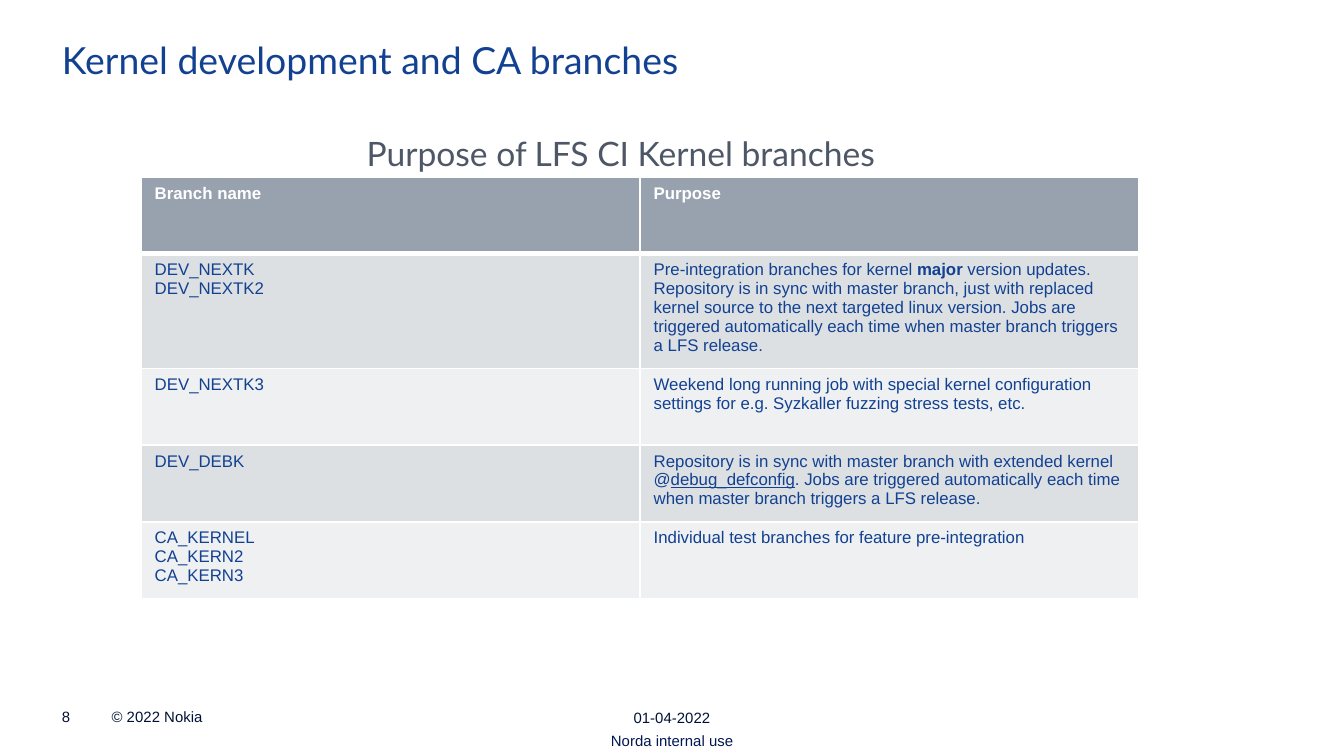
import dataclasses
import typing

import lxml.etree
import pptx
import pptx.dml.color
import pptx.enum.text
import pptx.oxml.ns
import pptx.util

Cm = pptx.util.Cm
Pt = pptx.util.Pt
Align = pptx.enum.text.PP_ALIGN
Anchor = pptx.enum.text.MSO_ANCHOR

COLORS = {
    "blue": "124191",
    "slate": "4D5766",
    "navy": "001135",
    "indigo": "001753",
    "white": "FFFFFF",
    "head": "98A2AE",
    "dark": "DDE0E3",
    "light": "EFF0F2",
}


@dataclasses.dataclass
class Label:
    text: str
    left: float
    top: float
    width: float
    height: float
    size: float = 8
    font: str = "Arial"
    color: str = "navy"
    align: Align = Align.LEFT
    anchor: Anchor = Anchor.TOP
    spacing: float = 1.0


class Part(typing.NamedTuple):
    text: str
    bold: bool = False
    line: bool = False


class Branch(typing.NamedTuple):
    names: list[str]
    purpose: list[Part]
    height: float = 1.45


LABELS = [
    Label("© 2022 Nokia", 2.11, 13.39, 5, 0.33, anchor=Anchor.BOTTOM),
    Label("8", 1.17, 13.39, 0.71, 0.33, anchor=Anchor.BOTTOM),
    Label("Norda internal use", 11.23, 13.69, 2.95, 0.61, color="indigo",
          align=Align.CENTER, anchor=Anchor.MIDDLE),
    Label("Purpose of LFS CI Kernel branches", 6.93, 2.59, 11.53, 0.97,
          18, "Lato", "slate", spacing=0.9),
    Label("Kernel development and CA branches", 1.17, 0.79, 23.09, 0.86,
          20, "Lato", "blue", spacing=0.9),
    Label("01-04-2022", 6.4, 13.39, 12.6, 0.33,
          align=Align.CENTER, anchor=Anchor.MIDDLE),
]

BRANCHES = [
    Branch(["DEV_NEXTK", "DEV_NEXTK2"], [
        Part("Pre-integration branches for kernel "),
        Part("major ", bold=True),
        Part("version updates. Repository is in sync with master branch, "
             "just with replaced kernel source to the next targeted linux "
             "version. Jobs are triggered automatically each time when "
             "master branch triggers a LFS release."),
    ], 1.9),
    Branch(["DEV_NEXTK3"], [
        Part("Weekend long running job with special kernel configuration "
             "settings for e.g. Syzkaller fuzzing stress tests, etc."),
    ]),
    Branch(["DEV_DEBK"], [
        Part("Repository is in sync with master branch with extended kernel @"),
        Part("debug_defconfig", line=True),
        Part(". Jobs are triggered automatically each time when master "
             "branch triggers a LFS release."),
    ]),
    Branch(["CA_KERNEL", "CA_KERN2", "CA_KERN3"], [
        Part("Individual test branches for feature pre-integration"),
    ]),
]


def rgb(name: str) -> pptx.dml.color.RGBColor:
    return pptx.dml.color.RGBColor.from_string(COLORS[name])


def set_font(font, name: str, size: float, color: str) -> None:
    font.name = name
    font.size = Pt(size)
    font.color.rgb = rgb(color)


def add_label(slide, label: Label) -> None:
    box = slide.shapes.add_textbox(
        Cm(label.left), Cm(label.top), Cm(label.width), Cm(label.height))
    frame = box.text_frame
    frame.text = label.text
    frame.word_wrap = True
    frame.vertical_anchor = label.anchor
    frame.margin_left = frame.margin_right = 0
    frame.margin_top = frame.margin_bottom = 0
    first = frame.paragraphs[0]
    first.alignment = label.align
    first.line_spacing = label.spacing
    set_font(first.runs[0].font, label.font, label.size, label.color)


def add_edges(cell, base: float) -> None:
    """Draw white cell borders; base is the bottom width in points."""
    props = cell._tc.get_or_add_tcPr()
    for side, width in (("L", 1), ("R", 1), ("T", 1), ("B", base)):
        edge = lxml.etree.SubElement(
            props, pptx.oxml.ns.qn(f"a:ln{side}"), w=str(Pt(width)))
        fill = lxml.etree.SubElement(edge, pptx.oxml.ns.qn("a:solidFill"))
        lxml.etree.SubElement(
            fill, pptx.oxml.ns.qn("a:srgbClr"), val=COLORS["white"])


def fill_cell(cell, lines: list[list[Part]], color: str, back: str,
              base: float = 1) -> None:
    frame = cell.text_frame
    for index, parts in enumerate(lines):
        para = frame.add_paragraph() if index else frame.paragraphs[0]
        for part in parts:
            run = para.add_run()
            run.text = part.text
            set_font(run.font, "Arial", 9, color)
            run.font.bold = part.bold
            run.font.underline = part.line
    add_edges(cell, base)
    cell.fill.solid()
    cell.fill.fore_color.rgb = rgb(back)


def add_branches(slide) -> None:
    table = slide.shapes.add_table(
        len(BRANCHES) + 1, 2, Cm(2.67), Cm(3.35), Cm(18.86), Cm(7.7)).table
    table.rows[0].height = Cm(1.45)
    for cell, text in zip(table.rows[0].cells, ("Branch name", "Purpose")):
        fill_cell(cell, [[Part(text, bold=True)]], "white", "head", 3)
    for index, branch in enumerate(BRANCHES, 1):
        row = table.rows[index]
        row.height = Cm(branch.height)
        back = "dark" if index % 2 else "light"
        names = [[Part(name)] for name in branch.names]
        for cell, lines in zip(row.cells, (names, [branch.purpose])):
            fill_cell(cell, lines, "blue", back, 1)


def main() -> None:
    deck = pptx.Presentation()
    deck.slide_width = Cm(25.4)
    deck.slide_height = Cm(14.29)
    slide = deck.slides.add_slide(deck.slide_layouts[6])
    for label in LABELS:
        add_label(slide, label)
    add_branches(slide)
    deck.save("out.pptx")


if __name__ == "__main__":
    main()
